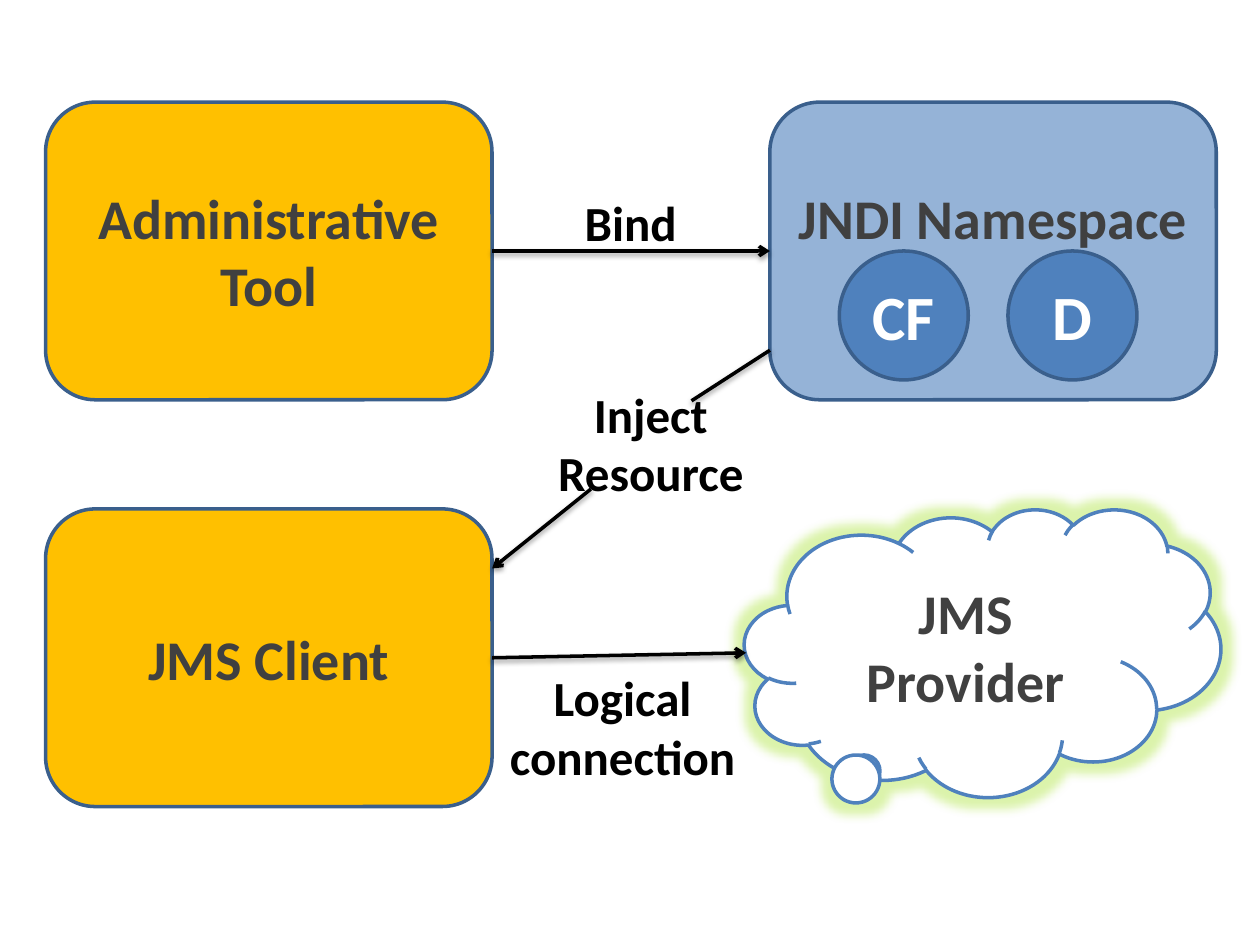
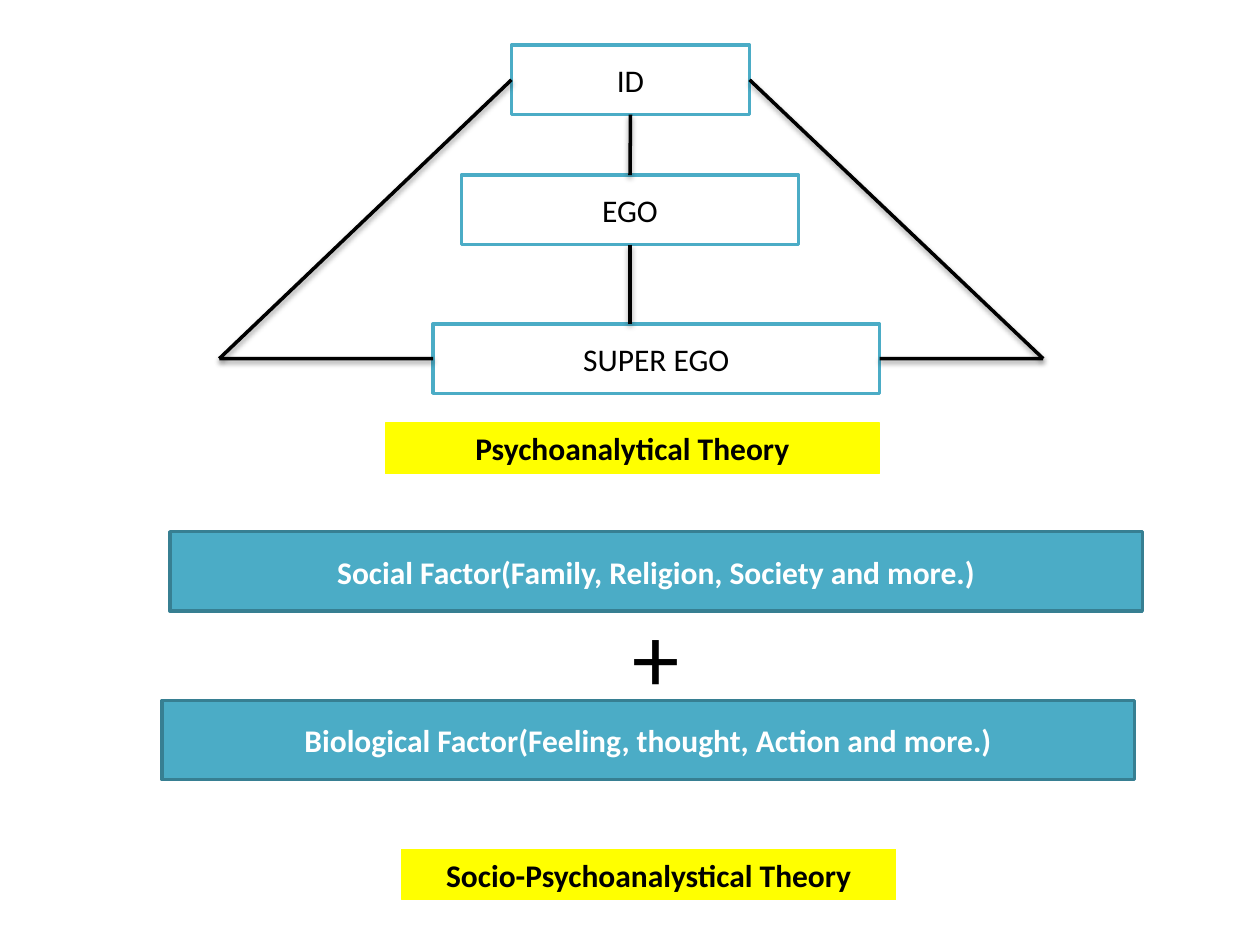
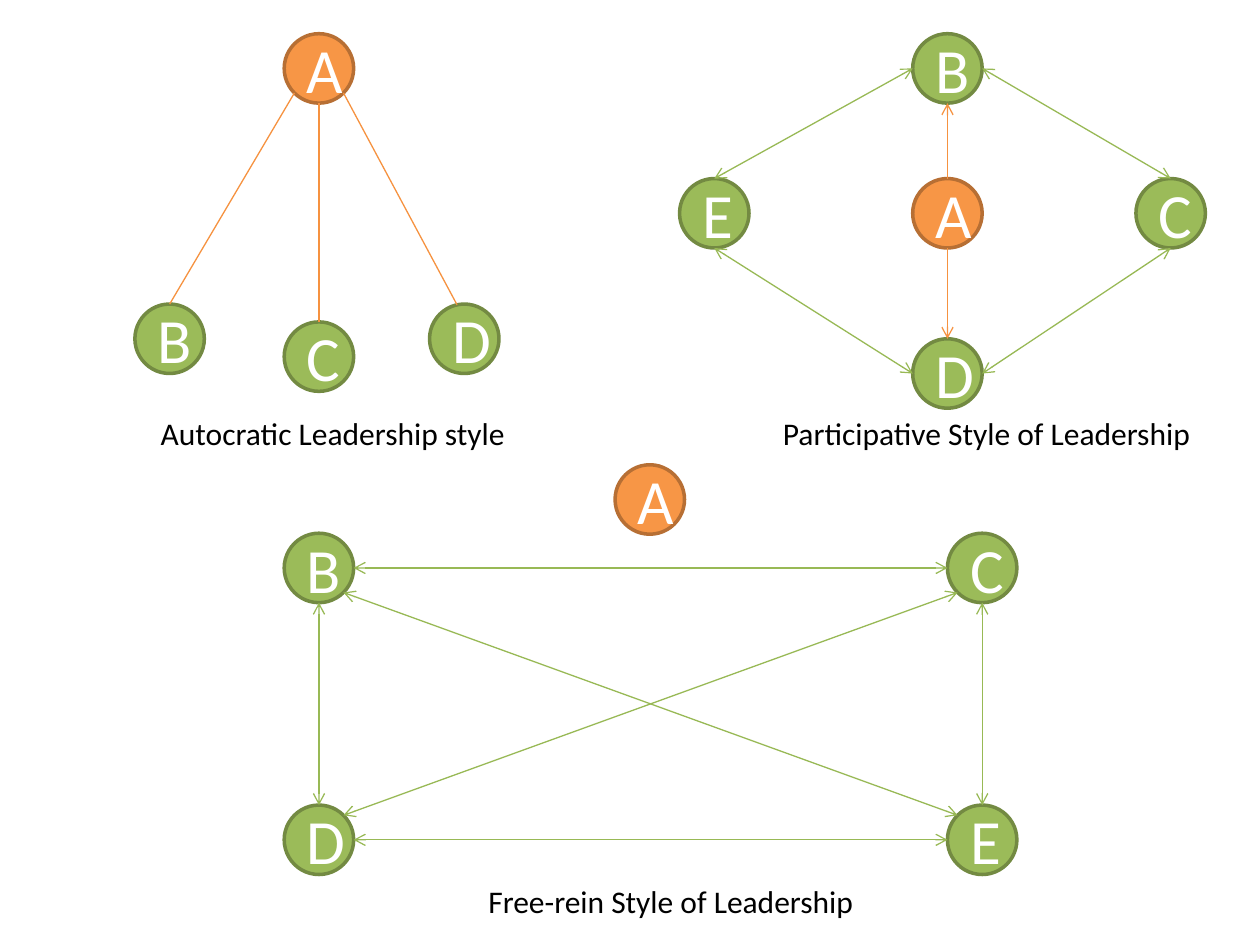
from dataclasses import dataclass
from math import cos, radians, sin

from lxml.etree import SubElement
from pptx import Presentation
from pptx.dml.color import RGBColor
from pptx.enum.shapes import MSO_CONNECTOR, MSO_SHAPE
from pptx.enum.text import MSO_ANCHOR, PP_ALIGN
from pptx.oxml.ns import qn
from pptx.shapes.autoshape import Shape
from pptx.util import Cm, Pt

FONT = "Calibri"
BLACK = RGBColor(0x00, 0x00, 0x00)
WHITE = RGBColor(0xFF, 0xFF, 0xFF)
CHARCOAL = RGBColor(0x40, 0x40, 0x40)
AMBER = RGBColor(0xFF, 0xC0, 0x00)
YELLOW = RGBColor(0xFF, 0xFF, 0x00)
BLUE = RGBColor(0x4F, 0x81, 0xBD)
LIGHT_BLUE = RGBColor(0x95, 0xB3, 0xD7)
DARK_BLUE = RGBColor(0x3A, 0x5F, 0x8C)
TEAL = RGBColor(0x4B, 0xAC, 0xC6)
DARK_TEAL = RGBColor(0x37, 0x7F, 0x92)
ORANGE = RGBColor(0xF7, 0x96, 0x46)
DARK_ORANGE = RGBColor(0xB7, 0x6F, 0x34)
ORANGE_LINE = RGBColor(0xF6, 0x92, 0x40)
GREEN = RGBColor(0x9B, 0xBB, 0x59)
DARK_GREEN = RGBColor(0x73, 0x8A, 0x42)
GREEN_LINE = RGBColor(0x98, 0xB9, 0x55)
GLOW = RGBColor(0xA6, 0xE2, 0x2E)


@dataclass
class Style:
    size: int
    color: RGBColor
    bold: bool = False
    fill: RGBColor = None
    outline: RGBColor = None
    weight: float = 2


@dataclass
class Pen:
    color: RGBColor
    width: float
    shadow: bool = False
    head: bool = False
    tail: bool = False


ACTOR = Style(32, CHARCOAL, True, AMBER, DARK_BLUE)
NAMESPACE = Style(32, CHARCOAL, True, LIGHT_BLUE, DARK_BLUE)
RESOURCE = Style(36, WHITE, True, BLUE, DARK_BLUE)
CLOUD = Style(32, CHARCOAL, True, WHITE, BLUE)
ARROW_LABEL = Style(28, BLACK, True)
LEVEL = Style(18, BLACK, False, WHITE, TEAL)
THEORY = Style(18, BLACK, True, YELLOW, YELLOW, 0.75)
FACTOR = Style(18, WHITE, True, TEAL, DARK_TEAL)
PLUS = Style(54, BLACK)
CAPTION = Style(18, BLACK)
LEADER = Style(36, WHITE, False, ORANGE, DARK_ORANGE)
MEMBER = Style(36, WHITE, False, GREEN, DARK_GREEN)

PLAIN = Pen(BLACK, 2, shadow=True)
ARROW = Pen(BLACK, 2, shadow=True, tail=True)
COMMAND = Pen(ORANGE_LINE, 0.75)
ORDER = Pen(ORANGE_LINE, 0.75, tail=True)
EXCHANGE = Pen(GREEN_LINE, 0.75, head=True, tail=True)

TOP, LEFT, BOTTOM, RIGHT = range(4)

# Slide 1, in cm
COLUMNS, ROWS = (0.92, 15.52), (2.06, 10.26)
PANEL = (9, 6)
RESOURCES = [("CF", 16.92), ("D", 20.32)]
RESOURCE_TOP, RESOURCE_SIZE = 5.06, 2.6
CLOUD_PLACE = (15.01, 10.26, 9.6, 5.8)
ARROW_LABELS = [
    ("Bind", (10.57, 3.76, 4.29, 1.45)),
    ("Inject\nResource", (10.72, 7.62, 4.8, 2.64)),
    ("Logical connection", (9.91, 13.34, 5.28, 2.64)),
]

# Slide 2, in cm
MIDDLE = 12.7
LEVELS = [("ID", 10.31, 0.91, 4.8), ("EGO", 9.3, 3.53, 6.8),
          ("SUPER EGO", 8.73, 6.53, 9)]
LEVEL_HEIGHT = 1.4
CORNERS = (4.42, 21.03)
THEORIES = [("Socio-Psychoanalystical Theory", (8.1, 17.12, 9.96, 1.02)),
            ("Psychoanalytical Theory", (7.77, 8.53, 9.96, 1.02))]
FACTORS = [
    ("Social Factor(Family, Religion, Society and more.)", (3.43, 10.72, 19.6, 1.6)),
    ("Biological Factor(Feeling, thought, Action and more.)", (3.27, 14.12, 19.6, 1.6)),
]
PLUS_PLACE = (11.33, 11.94, 3.8, 2.57)

# Slide 3: circle centres in cm; link ends are bearings clockwise from the top
DIAMETER = 1.4
LEADERSHIP = [
    ("Autocratic Leadership style", (2.11, 8.23, 9.2, 1.02),
     {"A": (6.43, 1.38), "B": (3.42, 6.83), "C": (6.43, 7.19), "D": (9.36, 6.83)},
     [(COMMAND, "A", 225, "B", 0), (COMMAND, "A", 180, "C", 0),
      (COMMAND, "A", 135, "D", 348)]),
    ("Participative Style of Leadership", (15.09, 8.23, 9.6, 1.02),
     {"A": (19.1, 4.3), "B": (19.1, 1.38), "C": (23.6, 4.3), "D": (19.1, 7.53),
      "E": (14.4, 4.3)},
     [(ORDER, "A", 0, "B", 180), (ORDER, "A", 180, "D", 0),
      (EXCHANGE, "E", 0, "B", 270), (EXCHANGE, "E", 180, "D", 270),
      (EXCHANGE, "D", 90, "C", 180), (EXCHANGE, "B", 90, "C", 0)]),
    ("Free-rein Style of Leadership", (5.74, 17.65, 15.57, 1.02),
     {"A": (13.1, 10.07), "B": (6.43, 11.45), "C": (19.8, 11.45),
      "D": (6.43, 16.93), "E": (19.8, 16.93)},
     [(EXCHANGE, "B", 90, "C", 270), (EXCHANGE, "B", 180, "D", 0),
      (EXCHANGE, "D", 90, "E", 270), (EXCHANGE, "C", 180, "E", 0),
      (EXCHANGE, "B", 135, "E", 315), (EXCHANGE, "D", 45, "C", 225)]),
]


def write(box, text, style):
    frame = box.text_frame
    frame.word_wrap = True
    frame.text = text
    for para in frame.paragraphs:
        para.alignment = PP_ALIGN.CENTER
        for span in para.runs:
            span.font.name = FONT
            span.font.size = Pt(style.size)
            span.font.bold = style.bold
            span.font.color.rgb = style.color


def add_box(page, kind, place, text, style):
    box = page.shapes.add_shape(kind, *map(Cm, place))
    box.shadow.inherit = False
    box.fill.solid()
    box.fill.fore_color.rgb = style.fill
    box.line.color.rgb = style.outline
    box.line.width = Pt(style.weight)
    box.text_frame.vertical_anchor = MSO_ANCHOR.MIDDLE
    write(box, text, style)
    return box


def add_label(page, place, text, style):
    write(page.shapes.add_textbox(*map(Cm, place)), text, style)


def add_effect(effects, name, color, alpha, **sizes):
    effect = SubElement(effects, qn(name), {key: str(size) for key, size in sizes.items()})
    tint = SubElement(effect, qn("a:srgbClr"), val=str(color))
    SubElement(tint, qn("a:alpha"), val=str(alpha))


def link(page, start, end, pen):
    """Draw a line; each end is a point in cm or a (shape, side) pair."""
    line = page.shapes.add_connector(MSO_CONNECTOR.STRAIGHT, 0, 0, 0, 0)
    if isinstance(start[0], Shape):
        line.begin_connect(*start)
    else:
        line.begin_x, line.begin_y = map(Cm, start)
    if isinstance(end[0], Shape):
        line.end_connect(*end)
    else:
        line.end_x, line.end_y = map(Cm, end)
    line.line.color.rgb = pen.color
    line.line.width = Pt(pen.width)
    properties = line._element.spPr
    outline = properties.find(qn("a:ln"))
    for wanted, name in ((pen.head, "a:headEnd"), (pen.tail, "a:tailEnd")):
        if wanted:
            SubElement(outline, qn(name), type="arrow")
    effects = SubElement(properties, qn("a:effectLst"))
    if pen.shadow:
        add_effect(effects, "a:outerShdw", BLACK, 38000, blurRad=Pt(3.1),
                   dist=Pt(1.6), dir=5400000, rotWithShape=0)


def build_messaging(page):
    left, right = COLUMNS
    upper, lower = ROWS
    rounded = MSO_SHAPE.ROUNDED_RECTANGLE
    tool = add_box(page, rounded, (left, upper, *PANEL), "Administrative Tool", ACTOR)
    client = add_box(page, rounded, (left, lower, *PANEL), "JMS Client", ACTOR)
    namespace = add_box(page, rounded, (right, upper, *PANEL), "JNDI Namespace", NAMESPACE)
    namespace.text_frame.margin_bottom = Cm(1.5)
    for name, x in RESOURCES:
        add_box(page, MSO_SHAPE.OVAL, (x, RESOURCE_TOP, RESOURCE_SIZE, RESOURCE_SIZE),
                name, RESOURCE)

    cloud = add_box(page, MSO_SHAPE.CLOUD_CALLOUT, CLOUD_PLACE, "JMS Provider", CLOUD)
    cloud.adjustments[0], cloud.adjustments[1] = -0.256, 0.422
    effects = cloud._element.spPr.find(qn("a:effectLst"))
    add_effect(effects, "a:glow", GLOW, 40000, rad=Pt(11))

    link(page, (tool, RIGHT), (namespace, LEFT), ARROW)
    link(page, (client, RIGHT), (15.04, 13.16), ARROW)
    link(page, (15.52, 7.06), (13.94, 8.08), PLAIN)
    link(page, (11.91, 9.86), (9.92, 11.46), ARROW)
    for text, place in ARROW_LABELS:
        add_label(page, place, text, ARROW_LABEL)


def build_theories(page):
    ident, ego, super_ego = [
        add_box(page, MSO_SHAPE.RECTANGLE, (x, y, width, LEVEL_HEIGHT), name, LEVEL)
        for name, x, y, width in LEVELS]
    base_top = LEVELS[-1][2]
    for x, side in zip(CORNERS, (LEFT, RIGHT)):
        corner = (x, base_top + LEVEL_HEIGHT / 2)
        link(page, (ident, side), corner, PLAIN)
        link(page, corner, (super_ego, side), PLAIN)
    link(page, (ident, BOTTOM), (ego, TOP), PLAIN)
    link(page, (ego, BOTTOM), (MIDDLE, base_top), PLAIN)

    for bars, style in ((THEORIES, THEORY), (FACTORS, FACTOR)):
        for text, place in bars:
            add_box(page, MSO_SHAPE.RECTANGLE, place, text, style)
    add_label(page, PLUS_PLACE, "+", PLUS)


def rim(center, bearing):
    """Point on a circle's edge, with the bearing clockwise from the top."""
    x, y = center
    angle = radians(bearing)
    return x + DIAMETER / 2 * sin(angle), y - DIAMETER / 2 * cos(angle)


def build_leadership(page):
    for caption, place, people, links in LEADERSHIP:
        for name, (x, y) in people.items():
            circle = (x - DIAMETER / 2, y - DIAMETER / 2, DIAMETER, DIAMETER)
            add_box(page, MSO_SHAPE.OVAL, circle, name, LEADER if name == "A" else MEMBER)
        for pen, first, leaving, second, arriving in links:
            link(page, rim(people[first], leaving), rim(people[second], arriving), pen)
        add_label(page, place, caption, CAPTION)


def main():
    deck = Presentation()
    deck.slide_width, deck.slide_height = Cm(25.4), Cm(19.05)
    for build in (build_messaging, build_theories, build_leadership):
        build(deck.slides.add_slide(deck.slide_layouts[6]))
    deck.save("out.pptx")


if __name__ == "__main__":
    main()
